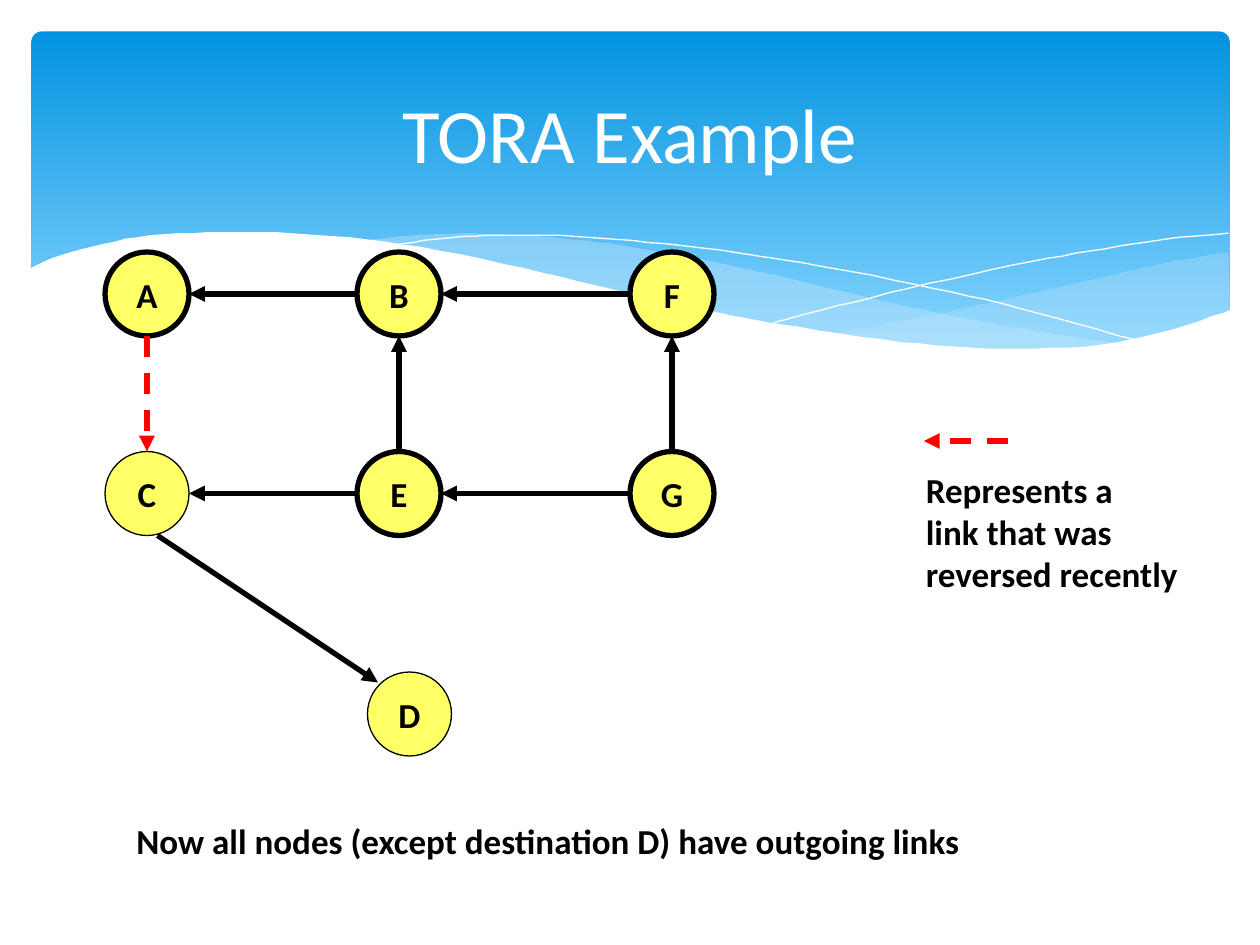
from lxml import etree
from pptx import Presentation
from pptx.dml.color import RGBColor
from pptx.enum.dml import MSO_LINE
from pptx.enum.shapes import MSO_CONNECTOR, MSO_SHAPE
from pptx.enum.text import MSO_ANCHOR, PP_ALIGN
from pptx.oxml.ns import qn
from pptx.util import Pt

PX = 7620
DASH = MSO_LINE.DASH
STRAIGHT = MSO_CONNECTOR.STRAIGHT
OVAL, ROUND_RECT = MSO_SHAPE.OVAL, MSO_SHAPE.ROUNDED_RECTANGLE
MIDDLE = MSO_ANCHOR.MIDDLE
LEFT, CENTER = PP_ALIGN.LEFT, PP_ALIGN.CENTER

COLORS = {"sky_top": "0293E0", "sky_low": "83D3FE", "wave": "C6E7FC", "white": "FFFFFF",
          "node": "FFFF66", "ink": "000000", "reversed": "FF0000"}
TITLE_FONT = {"name": "Calibri", "size": Pt(44), "bold": False}
BODY_FONT = {"name": "Calibri", "size": Pt(20), "bold": True}

RIGHT_WAVE = [
    [(1140, 210), (1092, 218), (1003, 238), (905, 260), (817, 278), (763, 288)],
    [(763, 288), (816, 295), (878, 301), (947, 304), (1006, 300), (1056, 293),
     (1100, 281), (1141, 266)]]
MIDDLE_WAVE = [
    [(1042, 298), (974, 288), (900, 275), (817, 258), (725, 236), (653, 220), (587, 208),
     (528, 199), (449, 193), (383, 193), (313, 199)],
    [(313, 199), (380, 209), (455, 223), (509, 236), (606, 258), (691, 276), (786, 292),
     (868, 301), (938, 304), (998, 302), (1042, 298)]]
FALLING_LINE = [
    [(341, 204), (383, 198), (434, 194), (490, 194), (557, 198), (637, 206), (733, 220),
     (842, 241), (924, 259), (1013, 283), (1058, 296)]]
RISING_LINE = [
    [(706, 278), (754, 265), (834, 245), (937, 222), (1009, 209), (1079, 198), (1140, 192)]]
WHITE_WAVE = [
    [(1142, 265), (1086, 284), (1020, 298), (941, 302), (863, 299), (772, 288), (665, 270),
     (574, 250), (506, 234), (408, 212), (320, 198), (246, 192), (182, 191), (113, 194),
     (61, 204), (25, 214), (-2, 226)],
    [(-2, 365), (1142, 365)]]

NODE = 80
NODES = {"A": (0, 0, 3), "F": (500, 0, 3), "B": (240, 0, 3), "C": (0, 190, 0.75),
         "E": (240, 190, 3), "G": (500, 190, 3), "D": (250, 400, 0.75)}
TOP, BOTTOM, WEST, EAST = (40, 0), (40, 80), (0, 40), (80, 40)
LINKS = [("A", BOTTOM, "C", TOP, True), ("E", TOP, "B", BOTTOM, False),
         ("G", TOP, "F", BOTTOM, False), ("B", WEST, "A", EAST, False),
         ("F", WEST, "B", EAST, False), ("E", WEST, "C", EAST, False),
         ("G", WEST, "E", EAST, False), ("C", (50, 80), "D", (10, 10), False)]


def rgb(name):
    return RGBColor.from_string(COLORS[name])


def px(*values):
    return [value * PX for value in values]


def smooth(points, steps=5):
    if len(points) < 3:
        return points
    padded = [points[0], *points, points[-1]]
    curve = [points[0]]
    for a, b, c, d in zip(padded, padded[1:], padded[2:], padded[3:]):
        for i in range(1, steps + 1):
            t = i / steps
            curve.append(tuple(
                (2 * q + (r - p) * t + (2 * p - 5 * q + 4 * r - s) * t ** 2
                 + (3 * q - p - 3 * r + s) * t ** 3) / 2
                for p, q, r, s in zip(a, b, c, d)))
    return curve


def write(shape, lines, font, color, align, wrap=True):
    tf = shape.text_frame
    tf.word_wrap = wrap
    tf.vertical_anchor = MIDDLE
    for i, line in enumerate(lines):
        p = tf.paragraphs[0] if i == 0 else tf.add_paragraph()
        p.alignment = align
        r = p.add_run()
        r.text = line
        for key, value in font.items():
            setattr(r.font, key, value)
        r.font.color.rgb = rgb(color)


def add_text(slide, box, lines, font, color, align):
    write(slide.shapes.add_textbox(*px(*box)), lines, font, color, align)


def add_wave(slide, origin, curves, color, alpha=None, outline=False):
    left, top = origin
    points = [(left + x, top + y) for curve in curves for x, y in smooth(curve)]
    builder = slide.shapes.build_freeform(*points[0], scale=PX)
    builder.add_line_segments(points[1:], close=not outline)
    sp = builder.convert_to_shape()
    sp.shadow.inherit = False
    if outline:
        sp.fill.background()
        sp.line.color.rgb = rgb(color)
        sp.line.width = Pt(0)
        return
    sp.fill.solid()
    sp.fill.fore_color.rgb = rgb(color)
    sp.line.fill.background()
    if alpha:
        fill = sp.fill._xPr.find(qn("a:solidFill"))
        etree.SubElement(fill[0], qn("a:alpha"), val=str(alpha * 1000))


def add_link(slide, start, end, is_reversed):
    link = slide.shapes.add_connector(STRAIGHT, *px(*start, *end))
    link.line.color.rgb = rgb("reversed" if is_reversed else "ink")
    link.line.width = Pt(3)
    if is_reversed:
        link.line.dash_style = DASH
    etree.SubElement(link.line._get_or_add_ln(), qn("a:tailEnd"), type="triangle")
    etree.SubElement(link._element.spPr, qn("a:effectLst"))


def add_banner(slide, box):
    left, top, width, height = box
    sky = slide.shapes.add_shape(ROUND_RECT, *px(*box))
    sky.adjustments[0] = 0.03
    sky.shadow.inherit = False
    sky.line.fill.background()
    sky.fill.gradient()
    sky.fill.gradient_angle = 270
    for stop, color, position in zip(sky.fill.gradient_stops, ("sky_top", "sky_low"), (0, 0.9)):
        stop.color.rgb = rgb(color)
        stop.position = position
    origin = (left, top)
    add_wave(slide, origin, RIGHT_WAVE, "wave", alpha=29)
    add_wave(slide, origin, MIDDLE_WAVE, "wave", alpha=40)
    add_wave(slide, origin, FALLING_LINE, "white", outline=True)
    add_wave(slide, origin, RISING_LINE, "white", outline=True)
    add_wave(slide, origin, WHITE_WAVE, "white")
    add_text(slide, (left + 30, top + 14, width - 61, 164), ["TORA Example"],
             TITLE_FONT, "white", CENTER)


def add_network(slide, left, top):
    for label, (x, y, weight) in NODES.items():
        node = slide.shapes.add_shape(OVAL, *px(left + x, top + y, NODE, NODE))
        node.shadow.inherit = False
        node.fill.solid()
        node.fill.fore_color.rgb = rgb("node")
        node.line.color.rgb = rgb("ink")
        node.line.width = Pt(weight)
        write(node, [label], BODY_FONT, "ink", CENTER, wrap=False)
    for source, leave, target, arrive, is_reversed in LINKS:
        start, end = [(left + NODES[label][0] + dx, top + NODES[label][1] + dy)
                      for label, (dx, dy) in ((source, leave), (target, arrive))]
        add_link(slide, start, end, is_reversed)


def add_legend(slide, left, top):
    add_link(slide, (left + 90, top), (left + 10, top), True)
    add_text(slide, (left, top + 20, 300, 132),
             ["Represents a", "link that was", "reversed recently"], BODY_FONT, "ink", LEFT)


def main():
    prs = Presentation()
    prs.slide_width, prs.slide_height = px(1200, 900)
    slide = prs.slides.add_slide(prs.slide_layouts[6])
    add_banner(slide, (30, 30, 1141, 324))
    add_network(slide, 100, 240)
    add_text(slide, (118, 774, 928, 52),
             ["Now all nodes (except destination D) have outgoing links"],
             BODY_FONT, "ink", LEFT)
    add_legend(slide, 870, 420)
    prs.save("out.pptx")


if __name__ == "__main__":
    main()
